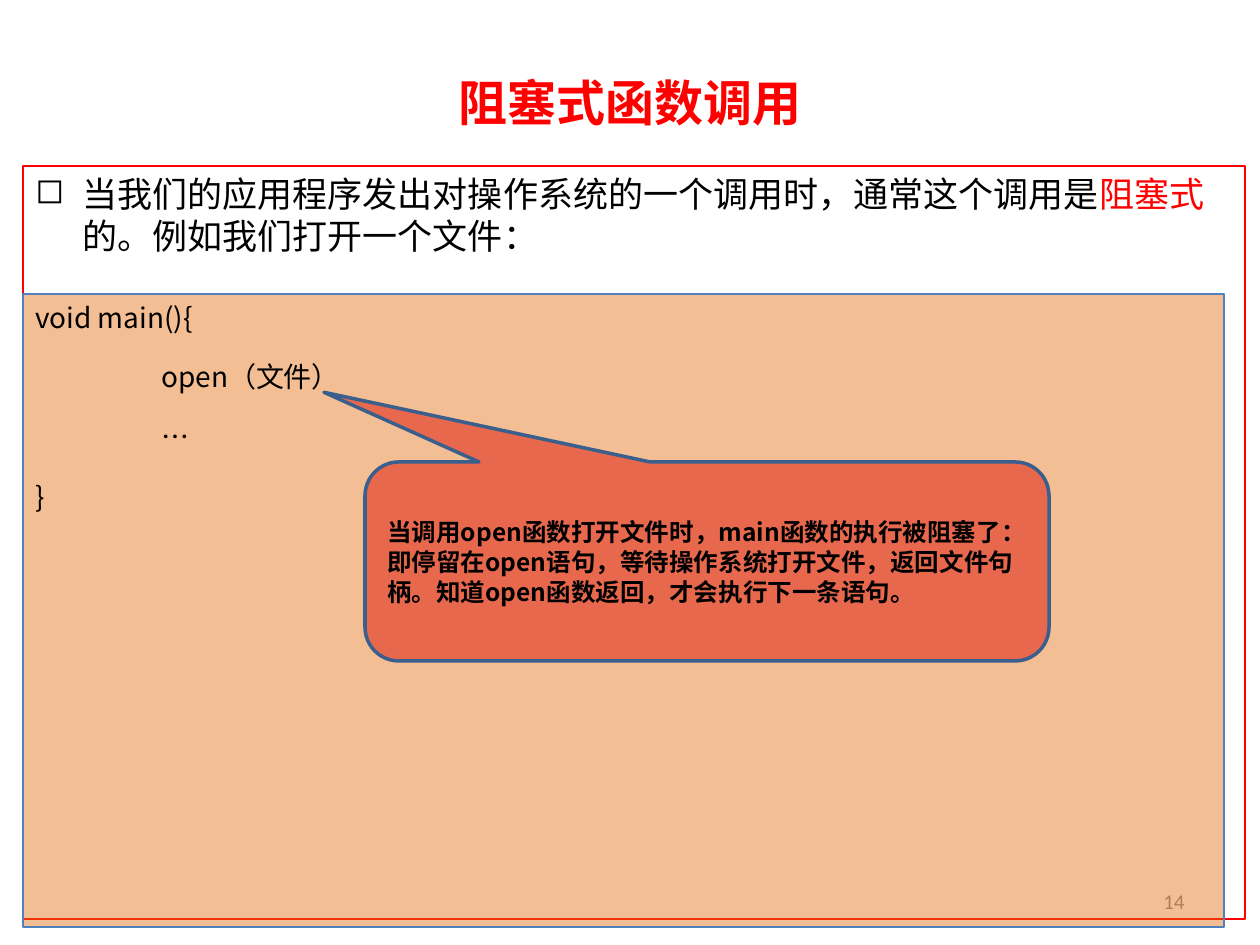
from dataclasses import dataclass

from lxml import etree
from pptx import Presentation
from pptx import util as u
from pptx.dml.color import RGBColor
from pptx.enum import shapes, text
from pptx.oxml.ns import qn

PX = 914400 / 126  # EMU in one px


def px(length):
    return u.Emu(round(length * PX))


@dataclass(frozen=True)
class Theme:
    # Colours
    ink: str = "000000"
    accent: str = "FF0000"
    muted: str = "8C8C8C"
    panel: str = "E46C0A"
    panel_line: str = "4F81BD"
    callout: str = "E8684E"
    callout_line: str = "3A5F8C"
    # Fonts
    heading_font: str = "Noto Sans CJK SC"
    body_font: str = "Noto Sans CJK JP"
    number_font: str = "Calibri"
    # Type sizes
    title: int = 28
    body: int = 20
    code: int = 16
    note: int = 14
    number: int = 12


class SlideBuilder:
    def __init__(self, deck, theme):
        self.theme = theme
        self.page = deck.slides.add_slide(deck.slide_layouts[6])

    def shape(self, kind, place, line, width, fill=None, alpha=None):
        box = self.page.shapes.add_shape(kind, *map(px, place))
        box.shadow.inherit = False
        box.line.color.rgb = RGBColor.from_string(line)
        box.line.width = u.Pt(width)
        if fill is None:
            box.fill.background()
        else:
            box.fill.solid()
            box.fill.fore_color.rgb = RGBColor.from_string(fill)
        if alpha is not None:
            color = box.fill._xPr.find(qn("a:solidFill"))[0]
            etree.SubElement(color, qn("a:alpha"), val=str(alpha * 1000))
        return box

    def text_box(self, place):
        return self.page.shapes.add_textbox(*map(px, place))

    def frame(self, box, anchor):
        box.text_frame.word_wrap = True
        box.text_frame.vertical_anchor = anchor
        return box.text_frame

    def para(self, para, runs, size, font, align=text.PP_ALIGN.LEFT, bold=False,
             indent=0, hanging=0, bullet=None, before=0, spacing=None):
        props = para._p.get_or_add_pPr()
        props.set("marL", str(px(indent)))
        props.set("indent", str(-px(hanging)))
        if bullet:
            etree.SubElement(props, qn("a:buChar"), char=bullet)
        para.alignment = align
        if before:
            para.space_before = u.Pt(before)
        if spacing:
            para.line_spacing = spacing
        for words, color in runs:
            span = para.add_run()
            span.text = words
            span.font.size = u.Pt(size)
            span.font.bold = bold
            span.font.name = font
            span.font.color.rgb = RGBColor.from_string(color)
            etree.SubElement(span._r.get_or_add_rPr(), qn("a:ea"), typeface=font)


def main():
    deck = Presentation()
    deck.slide_width, deck.slide_height = px(1260), px(945)
    theme = Theme()
    builder = SlideBuilder(deck, theme)
    top, middle = text.MSO_ANCHOR.TOP, text.MSO_ANCHOR.MIDDLE
    kinds = shapes.MSO_SHAPE

    # Title
    title = builder.frame(builder.text_box((63, 38, 1134, 127)), middle)
    builder.para(title.paragraphs[0], [("阻塞式函数调用", theme.accent)], theme.title,
                 theme.heading_font, text.PP_ALIGN.CENTER, bold=True)

    # Framed introduction
    intro_box = builder.shape(kinds.RECTANGLE, (23, 166, 1222, 753), theme.accent, 0.75)
    intro = builder.frame(intro_box, top)
    builder.para(intro.paragraphs[0], [
        ("当我们的应用程序发出对操作系统的一个调用时，通常这个调用是", theme.ink),
        ("阻塞式", theme.accent),
        ("的。例如我们打开一个文件：", theme.ink),
    ], theme.body, theme.body_font, indent=47, hanging=47, bullet="◻")

    # Page number, under the translucent code panel
    number = builder.frame(builder.text_box((903, 876, 294, 50)), middle)
    builder.para(number.paragraphs[0], [("14", theme.muted)], theme.number,
                 theme.number_font, text.PP_ALIGN.RIGHT)

    # Code panel
    panel = builder.shape(kinds.RECTANGLE, (23, 294, 1201, 633), theme.panel_line, 0.75,
                          theme.panel, alpha=44)
    code = builder.frame(panel, top)
    lines = [("void main(){", 0), ("open（文件）", 126), ("…", 126), ("}", 0)]
    for index, (words, indent) in enumerate(lines):
        para = code.add_paragraph() if index else code.paragraphs[0]
        builder.para(para, [(words, theme.ink)], theme.code, theme.body_font,
                     indent=indent, before=15 if index else 0)

    # Callout pointing at the open call
    callout = builder.shape(kinds.ROUNDED_RECTANGULAR_CALLOUT, (365, 462, 684, 199),
                            theme.callout_line, 2, theme.callout)
    for index, value in enumerate((-0.56, -0.85, 0.17)):
        callout.adjustments[index] = value
    note = builder.frame(callout, middle)
    builder.para(note.paragraphs[0], [(
        "当调用open函数打开文件时，main函数的执行被阻塞了：即停留在open语句，"
        "等待操作系统打开文件，返回文件句柄。知道open函数返回，才会执行下一条语句。",
        theme.ink)], theme.note, theme.heading_font, bold=True, spacing=1.03)

    deck.save("out.pptx")


if __name__ == "__main__":
    main()
